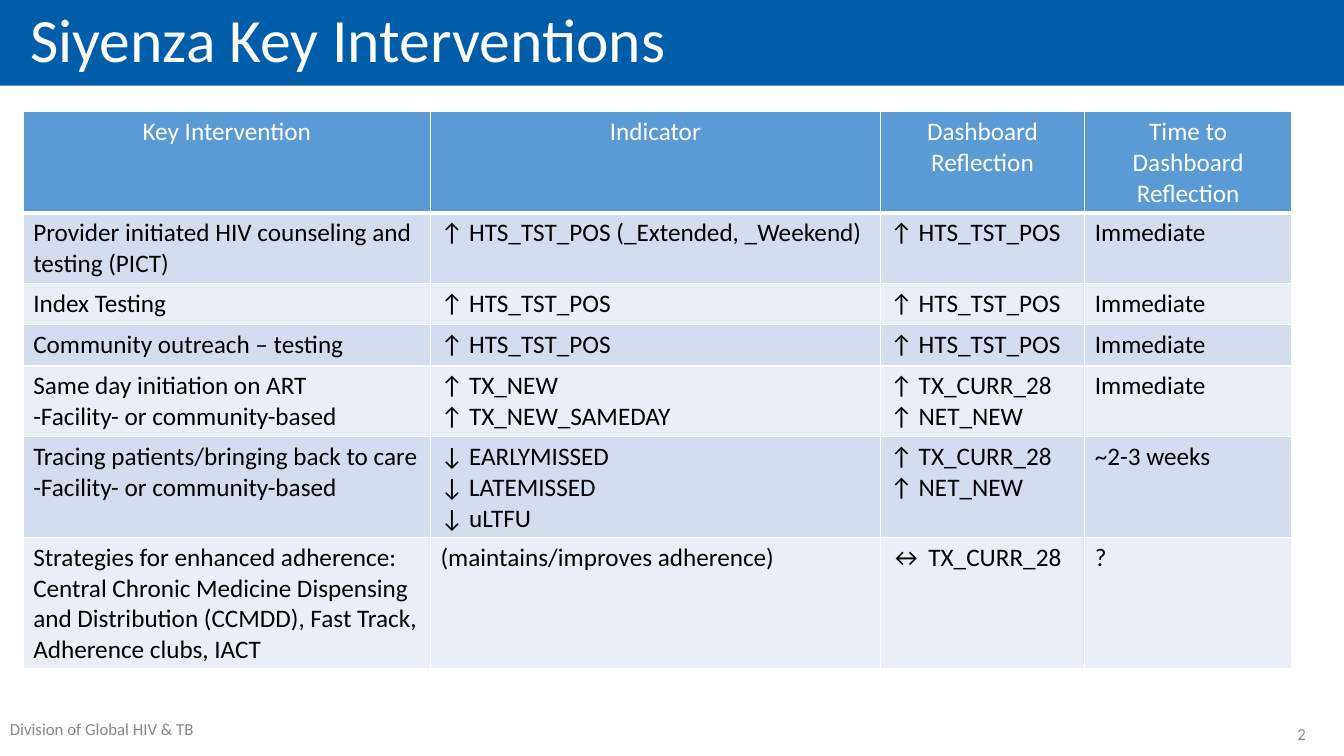
from pptx import Presentation
from pptx.dml.color import RGBColor
from pptx.enum.shapes import MSO_SHAPE
from pptx.enum.text import MSO_ANCHOR, PP_ALIGN
from pptx.oxml import parse_xml
from pptx.oxml.ns import nsdecls
from pptx.util import Inches, Pt

COLORS = {
    "title": "005DAA", "header": "5B9BD5", "band": "D2DEEF", "light": "EAEFF7",
    "white": "FFFFFF", "black": "000000", "footer": "898989", "number": "8C8C8C",
}


class SlideBuilder:
    font = "Calibri"

    def __init__(self, slide):
        self.s = slide

    def color(self, name):
        return RGBColor.from_string(COLORS[name])

    def add_lines(self, tf, lines, size, color, align=PP_ALIGN.LEFT, spacing=None):
        tf.word_wrap = True
        for i, line in enumerate(lines):
            p = tf.add_paragraph() if i else tf.paragraphs[0]
            p.alignment = align
            if spacing:
                p.line_spacing = spacing
            r = p.add_run()
            r.text = line
            r.font.name = self.font
            r.font.size = Pt(size)
            r.font.color.rgb = self.color(color)

    def text(self, box, line, size, color, align=PP_ALIGN.LEFT, anchor=MSO_ANCHOR.TOP):
        sp = self.s.shapes.add_textbox(*map(Inches, box))
        sp.text_frame.vertical_anchor = anchor
        self.add_lines(sp.text_frame, [line], size, color, align)

    def title_bar(self, box, line):
        sp = self.s.shapes.add_shape(MSO_SHAPE.RECTANGLE, *map(Inches, box))
        sp.shadow.inherit = False
        sp.fill.solid()
        sp.fill.fore_color.rgb = self.color("title")
        sp.line.fill.background()
        tf = sp.text_frame
        tf.margin_left = tf.margin_right = Inches(0.3)
        tf.vertical_anchor = MSO_ANCHOR.MIDDLE
        self.add_lines(tf, [line], 44, "white", spacing=0.9)

    def borders(self, cell, bottom):
        tcPr = cell._tc.get_or_add_tcPr()
        widths = {"lnL": 1, "lnR": 1, "lnT": 1, "lnB": bottom}
        for i, (tag, width) in enumerate(widths.items()):
            tcPr.insert(i, parse_xml(
                f'<a:{tag} {nsdecls("a")} w="{Pt(width)}"><a:solidFill>'
                f'<a:srgbClr val="{COLORS["white"]}"/></a:solidFill></a:{tag}>'))

    def table(self, left, top, widths, row_height, rows):
        frame = self.s.shapes.add_table(
            len(rows), len(widths), Inches(left), Inches(top),
            Inches(sum(widths)), Inches(row_height * len(rows)))
        table = frame.table
        for column, width in zip(table.columns, widths):
            column.width = Inches(width)
        for i, row in enumerate(rows):
            is_header = i == 0
            fill = "header" if is_header else ("band" if i % 2 else "light")
            for j, content in enumerate(row):
                cell = table.cell(i, j)
                cell.fill.solid()
                cell.fill.fore_color.rgb = self.color(fill)
                self.borders(cell, 3 if is_header else 1)
                self.add_lines(cell.text_frame, content.split("\n"), 18,
                               "white" if is_header else "black",
                               PP_ALIGN.CENTER if is_header else PP_ALIGN.LEFT)


prs = Presentation()
prs.slide_width, prs.slide_height = Inches(13.33), Inches(7.5)
slide = SlideBuilder(prs.slides.add_slide(prs.slide_layouts[6]))

# Footer and title
slide.text((0, 7.08, 2.17, 0.4), "Division of Global HIV & TB", 12, "footer")
slide.title_bar((0, -0.01, 13.33, 0.86), "Siyenza Key Interventions")
slide.text((11.9, 7.08, 1.15, 0.4), "2", 12, "number",
           PP_ALIGN.RIGHT, MSO_ANCHOR.MIDDLE)

# Interventions table: rows grow to fit their text
POSITIVE = "↑ HTS_TST_POS"
ON_TREATMENT = "↑ TX_CURR_28\n↑ NET_NEW"
SETTING = "-Facility- or community-based"
interventions = [
    ("Key Intervention", "Indicator", "Dashboard Reflection",
     "Time to Dashboard Reflection"),
    ("Provider initiated HIV counseling and testing (PICT)",
     f"{POSITIVE} (_Extended, _Weekend)", POSITIVE, "Immediate"),
    ("Index Testing", POSITIVE, POSITIVE, "Immediate"),
    ("Community outreach – testing", POSITIVE, POSITIVE, "Immediate"),
    (f"Same day initiation on ART\n{SETTING}",
     "↑ TX_NEW\n↑ TX_NEW_SAMEDAY", ON_TREATMENT, "Immediate"),
    (f"Tracing patients/bringing back to care\n{SETTING}",
     "↓ EARLYMISSED\n↓ LATEMISSED\n↓ uLTFU", ON_TREATMENT, "~2-3 weeks"),
    ("Strategies for enhanced adherence:\nCentral Chronic Medicine Dispensing "
     "and Distribution (CCMDD), Fast Track, Adherence clubs, IACT",
     "(maintains/improves adherence)", "↔ TX_CURR_28", "?"),
]
slide.table(0.23, 1.11, (4.04, 4.46, 2.03, 2.05), 0.41, interventions)

prs.save("out.pptx")
